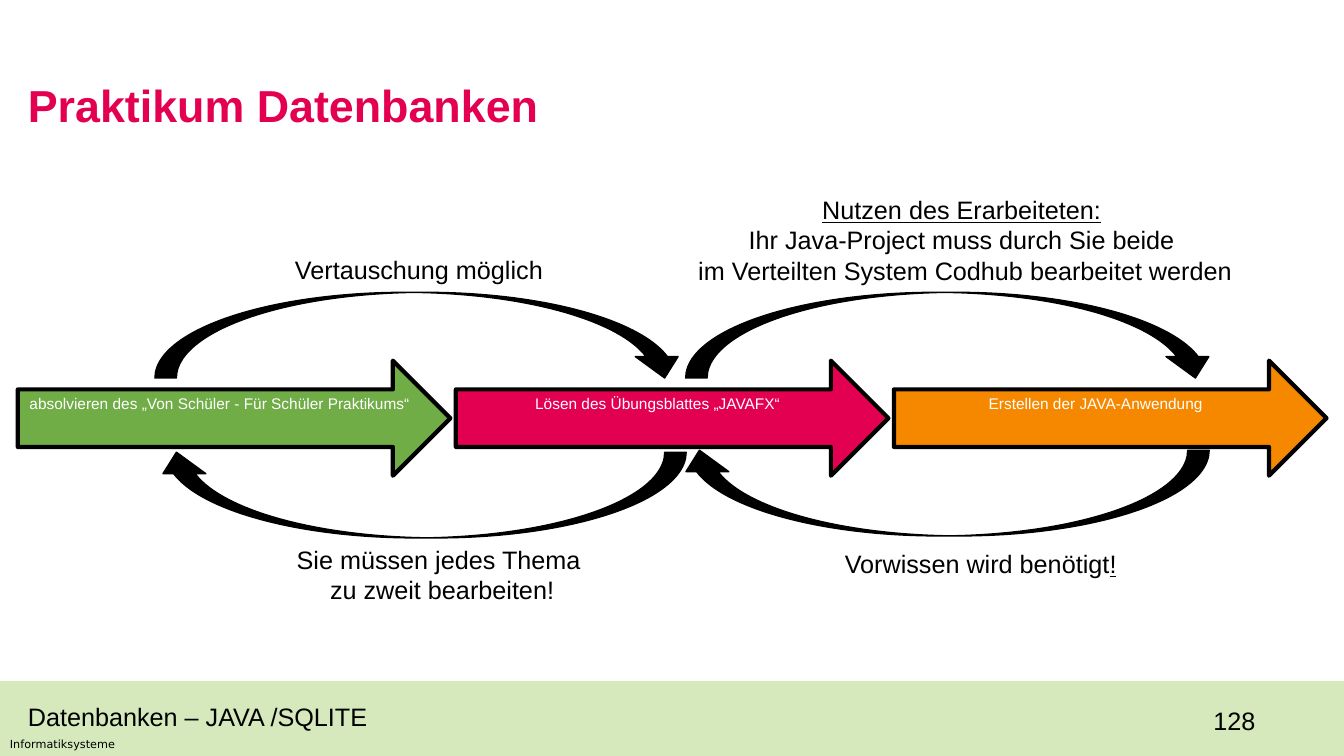
from lxml import etree
from pptx import Presentation
from pptx.dml.color import RGBColor
from pptx.enum.shapes import MSO_SHAPE
from pptx.enum.text import MSO_ANCHOR, PP_ALIGN
from pptx.oxml.ns import qn
from pptx.util import Pt

LEFT, CENTER = PP_ALIGN.LEFT, PP_ALIGN.CENTER
MIDDLE = MSO_ANCHOR.MIDDLE
RECTANGLE = MSO_SHAPE.RECTANGLE
RIGHT_ARROW = MSO_SHAPE.RIGHT_ARROW
CURVED_ARROW = MSO_SHAPE.CURVED_DOWN_ARROW
BLACK, WHITE, PINK = "000000", "FFFFFF", "E30051"
color = RGBColor.from_string

prs = Presentation()
prs.slide_width, prs.slide_height = Pt(960), Pt(540)
s = prs.slides.add_slide(prs.slide_layouts[6])


def add_shape(kind, box, fill, line_width=0):
    sp = s.shapes.add_shape(kind, *map(Pt, box))
    sp.shadow.inherit = False
    sp.fill.solid()
    sp.fill.fore_color.rgb = color(fill)
    if line_width:
        sp.line.color.rgb = color(BLACK)
        sp.line.width = Pt(line_width)
    else:
        sp.line.fill.background()
    return sp


def write(tf, paragraphs, align, **font):
    """Fill a text frame; each paragraph is a list of (text, underlined) runs."""
    font = {"name": "Arial", "size": Pt(18), "color": BLACK} | font
    rgb = color(font.pop("color"))
    for i, runs in enumerate(paragraphs):
        p = tf.paragraphs[0] if i == 0 else tf.add_paragraph()
        p.alignment = align
        for text, underlined in runs:
            r = p.add_run()
            r.text = text
            r.font.color.rgb = rgb
            r.font.underline = underlined
            for key, value in font.items():
                setattr(r.font, key, value)


# Footer band
band = add_shape(RECTANGLE, (0, 486.6, 960, 53.4), "76B727")
srgb = band.fill._xPr.find(".//" + qn("a:srgbClr"))
etree.SubElement(srgb, qn("a:alpha"), val="30000")

# Title
title = s.shapes.add_textbox(Pt(12.8), Pt(25.2), Pt(688), Pt(104.4))
tf = title.text_frame
tf.word_wrap = True
tf.vertical_anchor = MIDDLE
write(tf, [[("Praktikum Datenbanken", False)]], LEFT,
      size=Pt(32), color=PINK, bold=True)
tf.paragraphs[0].line_spacing = 0.9

# Three steps
steps = [
    ("absolvieren des „Von Schüler - Für Schüler Praktikums“", "70AD47"),
    ("Lösen des Übungsblattes „JAVAFX“", PINK),
    ("Erstellen der JAVA-Anwendung", "F68800"),
]
for i, (text, fill) in enumerate(steps):
    sp = add_shape(RIGHT_ARROW, (12.7 + 312.9 * i, 257.6, 309, 82.2), fill, 3)
    tf = sp.text_frame
    tf.word_wrap = True
    tf.vertical_anchor = MIDDLE
    tf.margin_bottom = Pt(24.3)
    write(tf, [[(text, False)]], CENTER, size=Pt(11), color=WHITE)

# Curved arrows between the steps: forward above, back below
for left, top, rotation in [
    (110.7, 208.8, 0), (110.7, 323, 180),
    (489.8, 208.8, 0), (484.3, 321.6, 180),
]:
    sp = add_shape(CURVED_ARROW, (left, top, 379.4, 61.2), BLACK, 1)
    sp.rotation = rotation

# Labels: box, wrap, alignment, size, font, paragraphs
labels = [
    ((203.6, 177.8, 193, 29), False, LEFT, 18, "Arial",
     [[("Vertauschung möglich", False)]]),
    ((203.8, 385.2, 223.9, 51), False, CENTER, 18, "Arial",
     [[("Sie müssen jedes Thema ", False)],
      [("zu zweit bearbeiten!", False)]]),
    ((466.9, 135.4, 440, 72.7), False, CENTER, 18, "Arial",
     [[("Nutzen des Erarbeiteten:", True)],
      [("Ihr Java-Project muss durch Sie beide", False)],
      [(" im Verteilten System Codhub bearbeitet werden", False)]]),
    ((595.4, 388.1, 210.2, 29), False, CENTER, 18, "Arial",
     [[("Vorwissen wird benötigt", False), ("!", True)]]),
    ((12.8, 497.5, 525, 29), True, LEFT, 18, "Arial",
     [[("Datenbanken – JAVA /SQLITE", False)]]),
    ((859.7, 500.4, 65, 29), True, LEFT, 18, "Arial", [[("128", False)]]),
    ((0, 522.9, 135.4, 17), True, LEFT, 8, "DejaVu Sans",
     [[("Informatiksysteme", False)]]),
]
for box, wrap, align, size, name, paragraphs in labels:
    tf = s.shapes.add_textbox(*map(Pt, box)).text_frame
    tf.word_wrap = wrap
    write(tf, paragraphs, align, size=Pt(size), name=name)

prs.save("out.pptx")
